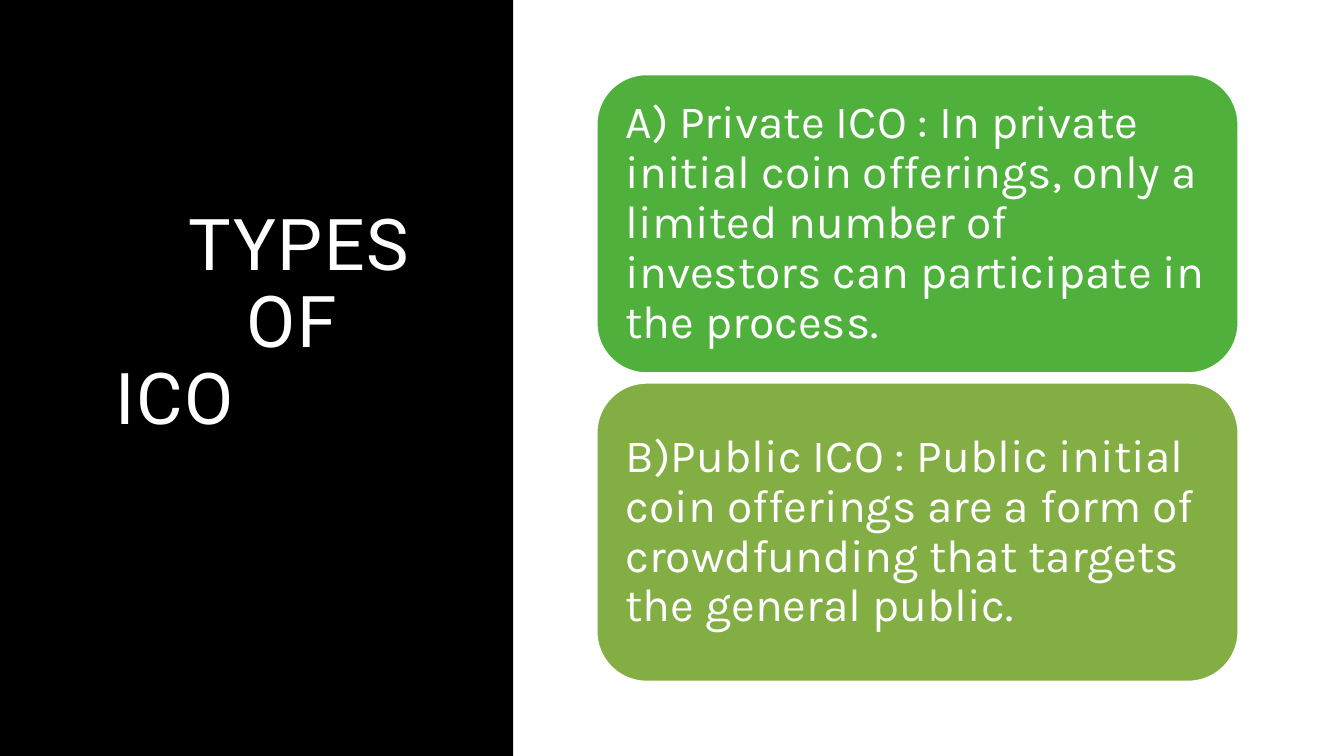
from pptx import Presentation
from pptx.dml.color import RGBColor
from pptx.enum.shapes import MSO_SHAPE
from pptx.enum.text import MSO_ANCHOR, PP_ALIGN
from pptx.util import Inches, Pt

RECT, ROUND = MSO_SHAPE.RECTANGLE, MSO_SHAPE.ROUNDED_RECTANGLE
MIDDLE, LEFT = MSO_ANCHOR.MIDDLE, PP_ALIGN.LEFT
WHITE, BLACK = "FFFFFF", "000000"

TITLE = [("TYPES", 0.72), ("OF", 1.3), ("ICO", 0)]
CARDS = [
    ("A) Private ICO : In private initial coin offerings, only a limited "
     "number of investors can participate in the process.", "4FB13B"),
    ("B)Public ICO : Public initial coin offerings are a form of "
     "crowdfunding that targets the general public.", "83AE44"),
]
CARD_X, CARD_Y, CARD_W, CARD_H, STEP = 5.92, 0.74, 6.36, 2.96, 3.06


def color(code):
    return RGBColor.from_string(code)


def block(kind, x, y, w, h, fill, line=None):
    shape = slide.shapes.add_shape(kind, Inches(x), Inches(y), Inches(w), Inches(h))
    shape.shadow.inherit = False
    shape.fill.solid()
    shape.fill.fore_color.rgb = color(fill)
    if line:
        shape.line.color.rgb = color(line)
        shape.line.width = Pt(1)
    else:
        shape.line.fill.background()
    return shape


def write(shape, lines, font, size, space=0, pad=0.1):
    frame = shape.text_frame
    frame.word_wrap = True
    frame.vertical_anchor = MIDDLE
    frame.margin_left = frame.margin_right = Inches(pad)
    frame.margin_top = frame.margin_bottom = Inches(pad)
    for i, (text, indent) in enumerate(lines):
        para = frame.add_paragraph() if i else frame.paragraphs[0]
        para.alignment = LEFT
        para.line_spacing = 0.9
        props = para._p.get_or_add_pPr()
        props.set("marL", str(Inches(indent)))
        props.set("indent", "0")
        run = para.add_run()
        run.text = text
        run.font.name = font
        run.font.size = Pt(size)
        run.font.color.rgb = color(WHITE)
        if space:
            run._r.get_or_add_rPr().set("spc", str(int(space * 100)))


deck = Presentation()
deck.slide_width, deck.slide_height = Inches(13.33), Inches(7.5)
slide = deck.slides.add_slide(deck.slide_layouts[6])
slide.background.fill.solid()
slide.background.fill.fore_color.rgb = color(WHITE)

block(RECT, 0, 0, 5.09, 7.5, BLACK)
title = slide.shapes.add_textbox(Inches(1.05), Inches(0.7), Inches(3.51), Inches(5.03))
write(title, TITLE, "Roboto", 51, space=1.2)

for i, (text, fill) in enumerate(CARDS):
    card = block(ROUND, CARD_X, CARD_Y + i * STEP, CARD_W, CARD_H, fill, WHITE)
    write(card, [(text, 0)], "Karla", 33, pad=0.14)

deck.save("out.pptx")
